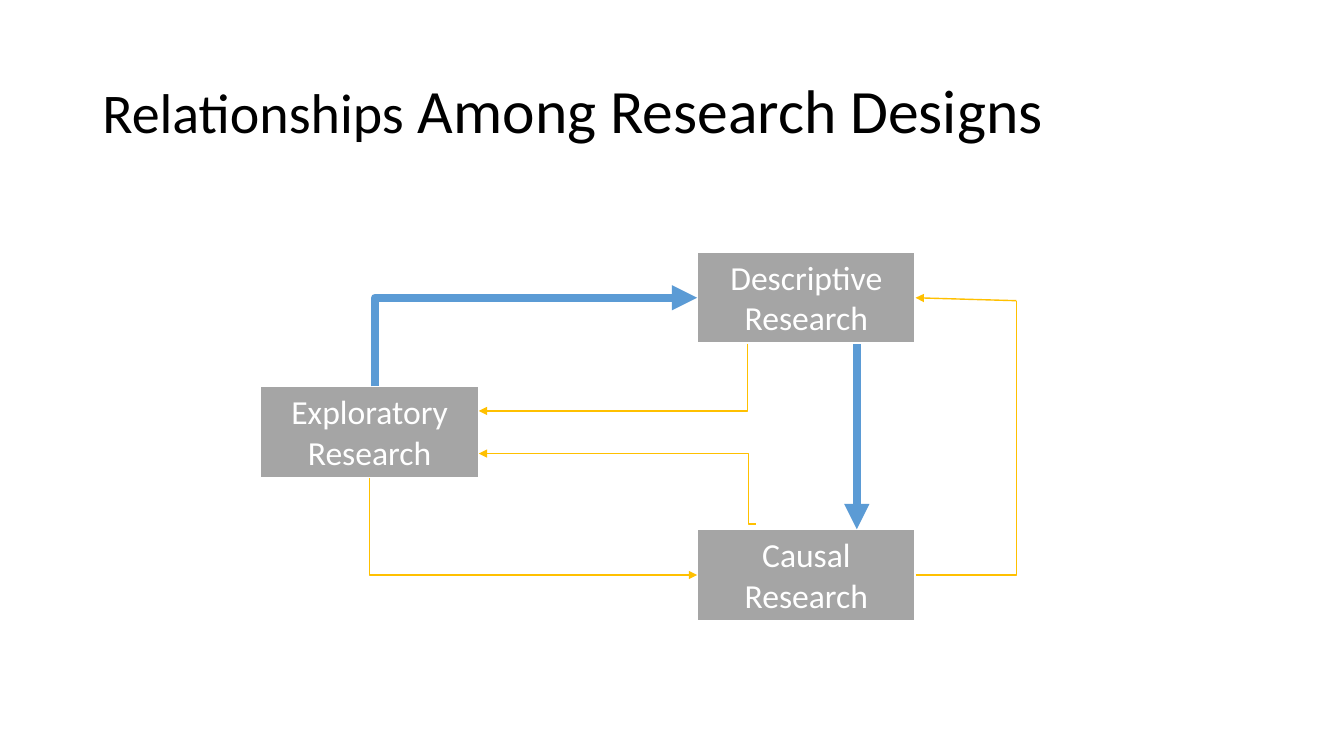
from dataclasses import dataclass
from typing import Optional

from pptx import Presentation
from pptx.dml.color import RGBColor
from pptx.enum.shapes import MSO_CONNECTOR as Route, MSO_SHAPE as Preset
from pptx.enum.text import MSO_ANCHOR as Anchor, MSO_AUTO_SIZE as AutoSize, PP_ALIGN as Align
from pptx.oxml.ns import qn
from pptx.shapes.autoshape import Shape
from pptx.shapes.connector import Connector
from pptx.slide import Slide
from pptx.util import Pt
from lxml.etree import SubElement

FONT = "Calibri"
BOX_WIDTH, BOX_HEIGHT = 156, 65.4
BLUE, AMBER = "5B9BD5", "FFC000"


@dataclass
class Design:
    label: str
    left: float
    top: float

    @property
    def right(self) -> float:
        return self.left + BOX_WIDTH

    @property
    def bottom(self) -> float:
        return self.top + BOX_HEIGHT

    @property
    def middle(self) -> float:
        return self.top + BOX_HEIGHT / 2


@dataclass
class Flow:
    """A link between designs; bend is the share of its width before the turn."""
    start: tuple[float, float]
    end: tuple[float, float]
    color: str = AMBER
    weight: float = 1
    bend: Optional[float] = None
    arrow: bool = True


def rgb(code: str) -> RGBColor:
    return RGBColor.from_string(code)


def write_title(slide: Slide, parts: list[tuple[str, int]]) -> None:
    title = slide.shapes.title
    title.left, title.top, title.width, title.height = Pt(66), Pt(28.8), Pt(828), Pt(104.4)
    frame = title.text_frame
    frame.auto_size = AutoSize.NONE
    frame.vertical_anchor = Anchor.MIDDLE
    paragraph = frame.paragraphs[0]
    paragraph.alignment = Align.LEFT
    paragraph.line_spacing = 0.9
    for wording, size in parts:
        run = paragraph.add_run()
        run.text = wording
        run.font.name, run.font.size = FONT, Pt(size)
        run.font.color.rgb = rgb("000000")


def draw_design(slide: Slide, design: Design) -> Shape:
    box = slide.shapes.add_shape(Preset.RECTANGLE, Pt(design.left), Pt(design.top),
                                 Pt(BOX_WIDTH), Pt(BOX_HEIGHT))
    box.shadow.inherit = False
    box.fill.solid()
    box.fill.fore_color.rgb = rgb("A5A5A5")
    box.line.color.rgb = rgb("FFFFFF")
    box.line.width = Pt(1.5)
    frame = box.text_frame
    frame.text = design.label
    frame.word_wrap = True
    frame.auto_size = AutoSize.SHAPE_TO_FIT_TEXT
    frame.vertical_anchor = Anchor.TOP
    paragraph = frame.paragraphs[0]
    paragraph.alignment = Align.CENTER
    font = paragraph.runs[0].font
    font.name, font.size = FONT, Pt(24)
    font.color.rgb = rgb("FFFFFF")
    return box


def draw_flow(slide: Slide, flow: Flow) -> Connector:
    route = Route.STRAIGHT if flow.bend is None else Route.ELBOW
    link = slide.shapes.add_connector(route, *map(Pt, flow.start + flow.end))
    link.line.color.rgb = rgb(flow.color)
    link.line.width = Pt(flow.weight)
    properties = link._element.spPr
    if flow.bend is not None:
        guides = properties.find(qn("a:prstGeom")).get_or_add_avLst()
        SubElement(guides, qn("a:gd"), name="adj1", fmla=f"val {round(flow.bend * 100000)}")
    if flow.arrow:
        SubElement(properties.find(qn("a:ln")), qn("a:tailEnd"), type="triangle")
    SubElement(properties, qn("a:effectLst"))
    return link


def main() -> None:
    deck = Presentation()
    deck.slide_width, deck.slide_height = Pt(960), Pt(540)
    slide = deck.slides.add_slide(deck.slide_layouts[5])
    write_title(slide, [("Relationships", 40), (" Among Research Designs", 44)])

    exploratory = Design("Exploratory Research", 186, 276)
    causal = Design("Causal Research", 498, 378)
    descriptive = Design("Descriptive Research", 498, 180)
    draw_design(slide, exploratory)
    draw_design(slide, causal)
    descriptive_box = draw_design(slide, descriptive)

    return_corner = (726, 214.8)
    flows = [
        Flow((268, exploratory.top), (descriptive.left, descriptive.middle), BLUE, 6, bend=0),
        Flow((612, 246), (612, causal.top), BLUE, 6),
        Flow((534, descriptive.bottom), (exploratory.right, 293.6), bend=0),
        Flow((540, 374.4), (exploratory.right, 324), bend=0.026),
        Flow((264, exploratory.bottom), (causal.left, causal.middle), bend=0),
        Flow((causal.right, causal.middle), return_corner, bend=1, arrow=False),
    ]
    for flow in flows:
        draw_flow(slide, flow)
    return_arrow = draw_flow(slide, Flow(return_corner, (descriptive.right, descriptive.middle)))
    return_arrow.end_connect(descriptive_box, 3)

    deck.save("out.pptx")


if __name__ == "__main__":
    main()
